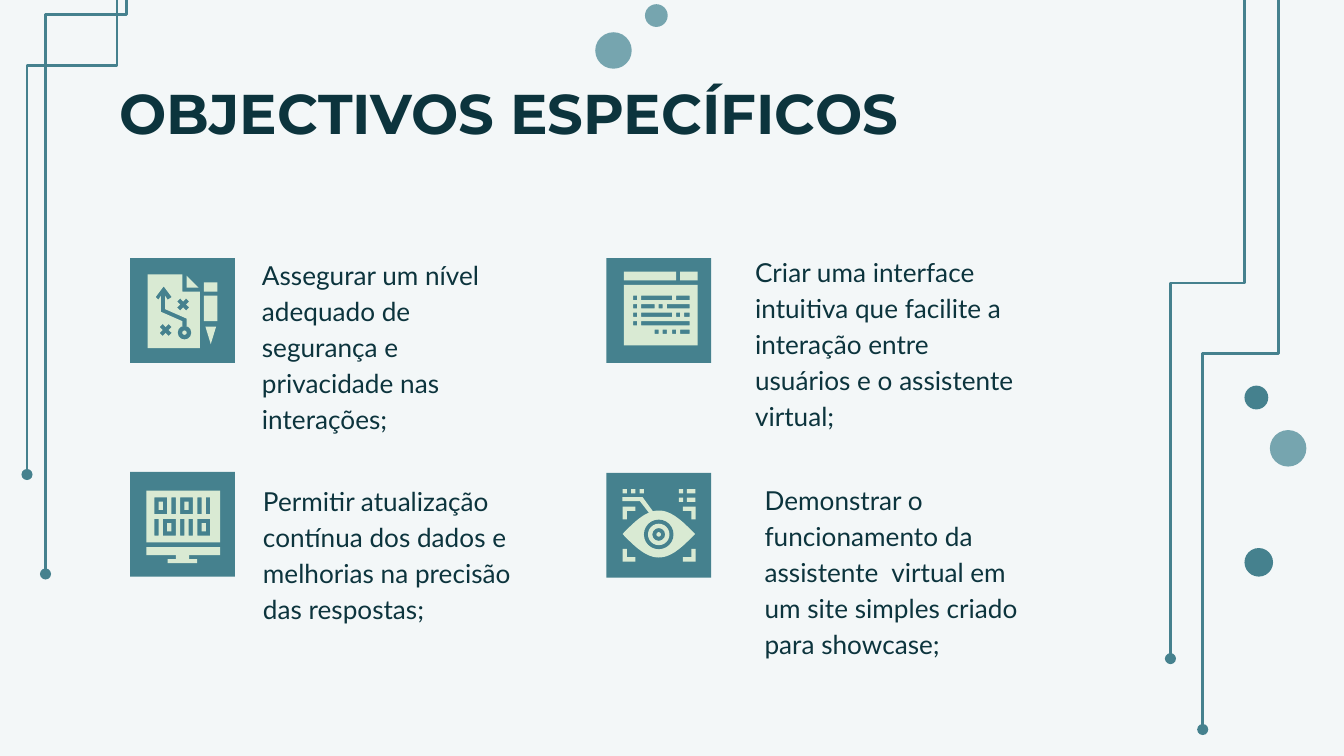
import math

import pptx
import pptx.dml.color
import pptx.enum.shapes
import pptx.enum.text
import pptx.oxml.ns
import pptx.util
from lxml import etree

Cm = pptx.util.Cm
Pt = pptx.util.Pt
RGBColor = pptx.dml.color.RGBColor
Shape = pptx.enum.shapes.MSO_SHAPE
qn = pptx.oxml.ns.qn

BACKGROUND = RGBColor(0xF3, 0xF7, 0xF8)
INK = RGBColor(0x0C, 0x34, 0x3D)
TEAL = RGBColor(0x45, 0x81, 0x8E)
LIGHT_TEAL = RGBColor(0x76, 0xA5, 0xAF)
PALE_GREEN = RGBColor(0xD9, 0xEA, 0xD3)

TILE_SIZE = Cm(1.98)
UNIT = TILE_SIZE / 78  # every icon is drawn on a 78 x 78 grid

# text, left, top, height (cm)
GOALS = [
    ("Assegurar um nível adequado de segurança e privacidade nas interações;", 4.7, 4.57, 1.85),
    ("Criar uma interface intuitiva que facilite a interação entre usuários e o assistente virtual;",
     14.02, 4.5, 1.85),
    ("Permitir atualização contínua dos dados e melhorias na precisão das respostas;", 4.72, 8.84, 3.43),
    ("Demonstrar o funcionamento da assistente  virtual em um site simples criado para showcase;",
     14.2, 8.81, 1.85),
]
# start x, start y, end x, end y (cm), position of the bend
CIRCUITS = [
    (2.39, -2.18, 0.86, 10.85, 0.189),
    (2.21, -2.54, 0.51, 8.97, 0.328),
    (24.16, -0.43, 22.73, 13.79, 0.5),
    (23.52, -1.75, 22.12, 12.45, 0.5),
]
# left, top, diameter (cm), colour
DOTS = [
    (11.25, 0.61, 0.69, LIGHT_TEAL),
    (23.52, 10.36, 0.54, TEAL),
    (24, 8.13, 0.69, LIGHT_TEAL),
    (12.19, 0.08, 0.43, LIGHT_TEAL),
    (23.52, 7.29, 0.45, TEAL),
]
# filled spans of each line in the code window
CODE_LINES = [
    [(20, 23), (26, 49), (52, 62)],
    [(20, 23), (26, 36), (39, 42), (45, 62)],
    [(20, 23), (26, 49), (52, 55), (58, 62)],
    [(20, 23), (26, 62)],
    [(36, 39), (42, 45), (49, 52), (55, 62)],
]


def paint(shape, colour):
    shape.shadow.inherit = False
    shape.fill.solid()
    shape.fill.fore_color.rgb = colour
    shape.line.fill.background()


def box(x, y, width, height):
    """Corner points of a rectangle."""
    return [(x, y), (x, y + height), (x + width, y + height), (x + width, y)]


def cross(x, y):
    """Outline of a small diagonal cross around a centre."""
    quarter = [(0, -2.2), (2.2, -4.5), (4.5, -2.2)]
    points = []
    for _ in range(4):
        points += [(x + dx, y + dy) for dx, dy in quarter]
        quarter = [(-dy, dx) for dx, dy in quarter]
    return points


class Icon:
    """A teal tile with shapes placed on its grid."""

    def __init__(self, slide, left, top):
        self.shapes, self.left, self.top = slide.shapes, Cm(left), Cm(top)
        self.preset(Shape.RECTANGLE, 0, 0, 78, 78, TEAL)

    def place(self, point):
        return self.left + point[0] * UNIT, self.top + point[1] * UNIT

    def preset(self, kind, x, y, width, height, colour=PALE_GREEN):
        left, top = self.place((x, y))
        shape = self.shapes.add_shape(kind, round(left), round(top),
                                      round(width * UNIT), round(height * UNIT))
        paint(shape, colour)
        return shape

    def bar(self, x, y, width, height):
        self.preset(Shape.RECTANGLE, x, y, width, height)

    def disc(self, x, y, radius, colour):
        self.preset(Shape.OVAL, x - radius, y - radius, 2 * radius, 2 * radius, colour)

    def ring(self, x, y, radius, thickness, colour):
        shape = self.preset(Shape.DONUT, x - radius, y - radius, 2 * radius, 2 * radius, colour)
        shape.adjustments[0] = thickness / (2 * radius)

    def outline(self, *contours):
        """The first contour is the body, the others cut holes in it."""
        first, *holes = [[self.place(point) for point in contour] for contour in contours]
        builder = self.shapes.build_freeform(*first[0], scale=1.0)
        builder.add_line_segments(first[1:], close=True)
        for hole in holes:
            builder.move_to(*hole[0])
            builder.add_line_segments(hole[1:], close=True)
        paint(builder.convert_to_shape(), PALE_GREEN)


def draw_plan_icon(slide):
    icon = Icon(slide, 2.46, 4.88)
    sheet = [(13, 12), (13, 67), (52, 67), (52, 25), (39, 25), (39, 12)]
    route = [(25, 21), (31, 29), (28, 31), (26, 28), (26, 38), (42, 45), (42, 51),
             (39, 51), (39, 47), (23, 40), (23, 28), (21, 31), (19, 29)]
    icon.outline(sheet, route, cross(39.5, 34.5), cross(26.5, 53.5))
    icon.ring(40.5, 55.5, 5, 3.3, TEAL)
    icon.outline([(42, 13), (42, 22), (51, 22)])
    # Pencil
    icon.bar(55, 18, 10, 7)
    icon.bar(55, 28, 10, 19)
    icon.outline([(56, 51), (60, 64), (64, 51)])


def draw_code_icon(slide):
    icon = Icon(slide, 11.46, 4.88)
    icon.bar(13, 10, 39, 6.5)
    icon.bar(55, 10, 13, 6.5)
    holes = [box(start, 28 + 6.3 * row, end - start, 3.2)
             for row, spans in enumerate(CODE_LINES) for start, end in spans]
    icon.outline(box(13, 20, 55, 45), *holes)


def draw_monitor_icon(slide):
    icon = Icon(slide, 2.46, 8.92)
    step = 3.2
    digits = []
    for y, bits in ((19, "01011"), (35, "10110")):
        x = 18
        for bit in bits:
            width = step if bit == "1" else 3 * step
            digits.append(box(x, y, width, 12.5))
            if bit == "0":
                digits.append(box(x + step, y + step, step, 6.1))
            x += width + step
    icon.outline(box(12, 14, 55, 38.5), *digits)
    icon.bar(12, 56, 55, 6)
    icon.bar(34, 62, 10, 3)
    icon.bar(28, 65, 22, 3)


def draw_eye_icon(slide):
    icon = Icon(slide, 11.46, 8.94)
    # Eye
    curve = [(dx, 17.5 * math.cos(math.pi * dx / 54)) for dx in range(-27, 28)]
    icon.outline([(39 + dx, 45.5 - dy) for dx, dy in curve]
                 + [(39 - dx, 45.5 + dy) for dx, dy in curve])
    icon.disc(39, 45.8, 11, TEAL)
    icon.ring(39, 45.8, 8, 3.2, PALE_GREEN)
    icon.disc(39, 45.8, 1.7, PALE_GREEN)
    icon.outline([(12, 18), (12, 21), (25, 21), (32, 30), (35, 29), (27, 18)])
    # Frame corners
    for x, x_sign in ((12, 1), (66.5, -1)):
        for y, y_sign in ((25, 1), (66, -1)):
            corner = [(0, 0), (9.5, 0), (9.5, 3.2), (3.2, 3.2), (3.2, 9.5), (0, 9.5)]
            icon.outline([(x + x_sign * dx, y + y_sign * dy) for dx, dy in corner])
    # Data marks
    for x in (12, 18.4, 24.8):
        icon.bar(x, 12, 3.2, 3.2)
    for y in (12, 18.3):
        icon.bar(54, y, 3.2, 3.2)
        icon.bar(60, y, 6.4, 3.2)


def add_circuit(slide, start_x, start_y, end_x, end_y, bend):
    """Elbow line running down, left and down, turned a quarter."""
    length, spread = end_y - start_y, start_x - end_x
    left = (start_x + end_x - length) / 2
    top = (start_y + end_y - spread) / 2
    connector = slide.shapes.add_connector(
        pptx.enum.shapes.MSO_CONNECTOR.ELBOW,
        Cm(left), Cm(top), Cm(left + length), Cm(top + spread))
    connector.line.color.rgb = TEAL
    connector.line.width = Pt(1.5)
    properties = connector._element.spPr
    properties.find(qn("a:xfrm")).set("rot", "5400000")
    guides = properties.find(qn("a:prstGeom")).find(qn("a:avLst"))
    etree.SubElement(guides, qn("a:gd"), name="adj1", fmla=f"val {round(bend * 100000)}")
    etree.SubElement(properties.find(qn("a:ln")), qn("a:tailEnd"), type="oval")
    etree.SubElement(properties, qn("a:effectLst"))


def fill_placeholder(shape, text, position, font_name, size, bold, line_spacing=1.0):
    shape.left, shape.top, shape.width, shape.height = [Cm(value) for value in position]
    frame = shape.text_frame
    frame.text = text
    frame.word_wrap = True
    frame.auto_size = pptx.enum.text.MSO_AUTO_SIZE.NONE
    frame.vertical_anchor = pptx.enum.text.MSO_ANCHOR.TOP
    frame.margin_left = frame.margin_right = frame.margin_top = frame.margin_bottom = Cm(0.25)
    paragraph = frame.paragraphs[0]
    paragraph.alignment = pptx.enum.text.PP_ALIGN.LEFT
    paragraph.line_spacing = line_spacing
    paragraph.space_before = Pt(0)
    paragraph.font.name, paragraph.font.size, paragraph.font.bold = font_name, Pt(size), bold
    paragraph.font.color.rgb = INK
    # No bullet and no hanging indent
    properties = paragraph._p.get_or_add_pPr()
    properties.set("marL", "0")
    properties.set("indent", "0")
    properties.insert_element_before(etree.Element(qn("a:buNone")), "a:tabLst", "a:defRPr", "a:extLst")


def main():
    presentation = pptx.Presentation()
    presentation.slide_width, presentation.slide_height = Cm(25.4), Cm(14.29)
    slide = presentation.slides.add_slide(presentation.slide_layouts.get_by_name("Comparison"))
    slide.background.fill.solid()
    slide.background.fill.fore_color.rgb = BACKGROUND

    # Decoration
    for circuit in CIRCUITS:
        add_circuit(slide, *circuit)
    for left, top, diameter, colour in DOTS:
        paint(slide.shapes.add_shape(Shape.OVAL, Cm(left), Cm(top), Cm(diameter), Cm(diameter)), colour)

    # Title and goals
    title, *bodies = slide.placeholders
    fill_placeholder(title, "OBJECTIVOS ESPECÍFICOS", (2.01, 1.24, 21.41, 1.6), "Montserrat", 30, True)
    for body, (text, left, top, height) in zip(bodies, GOALS):
        fill_placeholder(body, text, (left, top, 5.49, height), "Lato", 14, False, 1.15)

    # Icons
    draw_plan_icon(slide)
    draw_code_icon(slide)
    draw_monitor_icon(slide)
    draw_eye_icon(slide)

    presentation.save("out.pptx")


if __name__ == "__main__":
    main()
